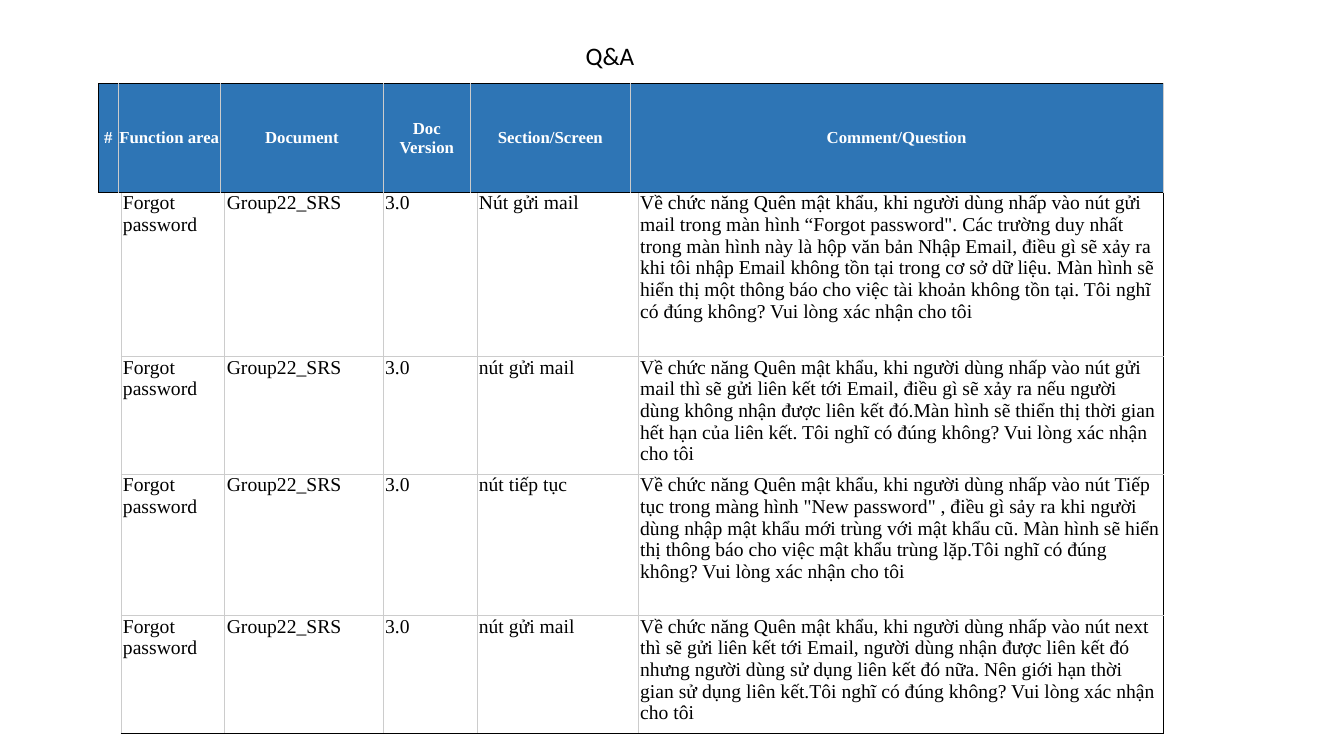
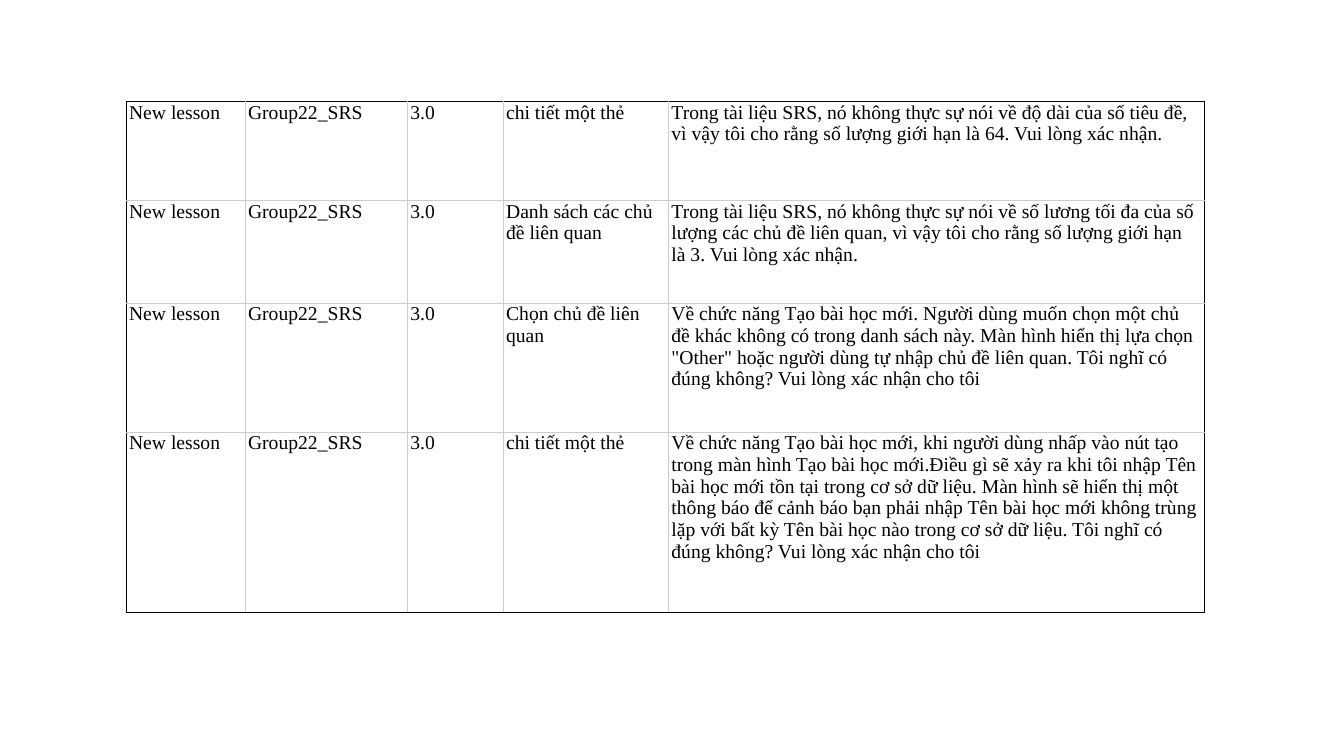
"""Build two slides of questions and answers about a requirements document."""
from dataclasses import dataclass

from lxml import etree
from pptx import Presentation
from pptx import util as u
from pptx.dml.color import RGBColor
from pptx.enum import text
from pptx.oxml import ns


@dataclass(frozen=True)
class Theme:
    ink: str = "000000"
    grid: str = "CCCCCC"
    header_fill: str = "2E75B5"
    header_ink: str = "FFFFFF"
    title_font: str = "Calibri"
    table_font: str = "Times New Roman"
    title_size: int = 18
    header_size: int = 12
    body_size: int = 14
    border_width: float = 0.6


THEME = Theme()
DOCUMENT, VERSION = "Group22_SRS", "3.0"
HEADERS = ["#", "Function area", "Document", "Doc Version", "Section/Screen", "Comment/Question"]

PASSWORD_QUESTIONS = [
    ("Nút gửi mail",
     "Về chức năng Quên mật khẩu, khi người dùng nhấp vào nút gửi mail trong màn hình "
     "“Forgot password\". Các trường duy nhất trong màn hình này là hộp văn bản Nhập Email, "
     "điều gì sẽ xảy ra khi tôi nhập Email không tồn tại trong cơ sở dữ liệu. Màn hình sẽ "
     "hiển thị một thông báo cho việc tài khoản không tồn tại. Tôi nghĩ có đúng không? "
     "Vui lòng xác nhận cho tôi"),
    ("nút gửi mail",
     "Về chức năng Quên mật khẩu, khi người dùng nhấp vào nút gửi mail thì sẽ gửi liên kết "
     "tới Email, điều gì sẽ xảy ra nếu người dùng không nhận được liên kết đó.Màn hình sẽ "
     "thiển thị thời gian hết hạn của liên kết. Tôi nghĩ có đúng không? Vui lòng xác nhận "
     "cho tôi"),
    ("nút tiếp tục",
     "Về chức năng Quên mật khẩu, khi người dùng nhấp vào nút Tiếp tục trong màng hình "
     "\"New password\" , điều gì sảy ra khi người dùng nhập mật khẩu mới trùng với mật khẩu "
     "cũ. Màn hình sẽ hiển thị thông báo cho việc mật khẩu trùng lặp.Tôi nghĩ có đúng "
     "không? Vui lòng xác nhận cho tôi"),
    ("nút gửi mail",
     "Về chức năng Quên mật khẩu, khi người dùng nhấp vào nút next thì sẽ gửi liên kết tới "
     "Email, người dùng nhận được liên kết đó nhưng người dùng sử dụng liên kết đó nữa. Nên "
     "giới hạn thời gian sử dụng liên kết.Tôi nghĩ có đúng không? Vui lòng xác nhận cho tôi"),
]

LESSON_QUESTIONS = [
    ("chi tiết một thẻ",
     "Trong tài liệu SRS, nó không thực sự nói về độ dài của số tiêu đề, vì vậy tôi cho "
     "rằng số lượng giới hạn là 64. Vui lòng xác nhận."),
    ("Danh sách các chủ đề liên quan",
     "Trong tài liệu SRS, nó không thực sự nói về số lương tối đa của số lượng các chủ đề "
     "liên quan, vì vậy tôi cho rằng số lượng giới hạn là 3. Vui lòng xác nhận."),
    ("Chọn chủ đề liên quan",
     "Về chức năng Tạo bài học mới. Người dùng muốn chọn một chủ đề khác không có trong "
     "danh sách này. Màn hình hiển thị lựa chọn \"Other\" hoặc người dùng tự nhập chủ đề "
     "liên quan. Tôi nghĩ có đúng không? Vui lòng xác nhận cho tôi"),
    ("chi tiết một thẻ",
     "Về chức năng Tạo bài học mới, khi người dùng nhấp vào nút tạo trong màn hình Tạo bài "
     "học mới.Điều gì sẽ xảy ra khi tôi nhập Tên bài học mới tồn tại trong cơ sở dữ liệu. "
     "Màn hình sẽ hiển thị một thông báo để cảnh báo bạn phải nhập Tên bài học mới không "
     "trùng lặp với bất kỳ Tên bài học nào trong cơ sở dữ liệu. Tôi nghĩ có đúng không? "
     "Vui lòng xác nhận cho tôi"),
]


def write_text(frame, content, *, font, size, color, bold=False, align=None):
    """Write one formatted paragraph into a text frame."""
    paragraph = frame.paragraphs[0]
    paragraph.alignment = align
    run = paragraph.add_run()
    run.text = content
    run.font.name = font
    run.font.size = u.Pt(size)
    run.font.bold = bold
    run.font.color.rgb = RGBColor.from_string(color)


def add_title(slide, content):
    """Add the title above a table."""
    box = slide.shapes.add_textbox(u.Inches(5.71), u.Inches(0.35), u.Inches(0.96), u.Inches(0.4))
    frame = box.text_frame
    frame.word_wrap = True
    frame.auto_size = text.MSO_AUTO_SIZE.SHAPE_TO_FIT_TEXT
    write_text(frame, content, font=THEME.title_font, size=THEME.title_size, color=THEME.ink)


def set_borders(cell, dark_sides):
    """Draw four cell borders, dark on the named sides and grey elsewhere."""
    properties = cell._tc.get_or_add_tcPr()
    for side in "LRTB":
        line = etree.SubElement(properties, ns.qn(f"a:ln{side}"), w=str(u.Pt(THEME.border_width)))
        fill = etree.SubElement(line, ns.qn("a:solidFill"))
        color = THEME.ink if side in dark_sides else THEME.grid
        etree.SubElement(fill, ns.qn("a:srgbClr"), val=color)


def add_grid(slide, left, top, widths, heights, rows, *, dark_edges, inset, fill=None,
             anchor=text.MSO_ANCHOR.TOP, **text_format):
    """Add a table whose named outer edges are dark."""
    frame = slide.shapes.add_table(len(rows), len(widths), u.Inches(left), u.Inches(top),
                                   u.Inches(sum(widths)), u.Inches(sum(heights)))
    table = frame.table
    table.first_row = table.horz_banding = False
    for column, width in zip(table.columns, widths):
        column.width = u.Inches(width)
    for row, height in zip(table.rows, heights):
        row.height = u.Inches(height)
    for r, values in enumerate(rows):
        for c, value in enumerate(values):
            cell = table.cell(r, c)
            on_edge = {"L": c == 0, "R": c == len(widths) - 1,
                       "T": r == 0, "B": r == len(rows) - 1}
            set_borders(cell, [side for side in dark_edges if on_edge[side]])
            if fill:
                cell.fill.solid()
                cell.fill.fore_color.rgb = RGBColor.from_string(fill)
            else:
                cell.fill.background()
            cell.margin_left = cell.margin_right = u.Inches(inset)
            cell.margin_top = cell.margin_bottom = 0
            cell.vertical_anchor = anchor
            write_text(cell.text_frame, value, font=THEME.table_font, **text_format)


def add_header(slide):
    """Add the blue row of column names."""
    add_grid(slide, 0.98, 0.83, [0.19, 1.02, 1.61, 0.87, 1.58, 5.29], [1.08], [HEADERS],
             dark_edges="LTB", inset=0.01, fill=THEME.header_fill,
             anchor=text.MSO_ANCHOR.MIDDLE, size=THEME.header_size,
             color=THEME.header_ink, bold=True, align=text.PP_ALIGN.CENTER)


def add_questions(slide, left, top, widths, heights, area, questions, *, dark_edges, inset):
    """Add the questions about one function area."""
    rows = [(area, DOCUMENT, VERSION, *question) for question in questions]
    add_grid(slide, left, top, widths, heights, rows, dark_edges=dark_edges, inset=inset,
             size=THEME.body_size, color=THEME.ink)


def main():
    """Build and save the presentation."""
    presentation = Presentation()
    presentation.slide_width = u.Inches(13.33)
    presentation.slide_height = u.Inches(7.5)
    blank = presentation.slide_layouts[6]

    slide = presentation.slides.add_slide(blank)
    add_title(slide, "Q&A")
    add_questions(slide, 1.2, 1.91, [1.03, 1.57, 0.93, 1.6, 5.21], [1.63, 1.16, 1.4, 1.16],
                  "Forgot password", PASSWORD_QUESTIONS, dark_edges="TRB", inset=0.02)
    add_header(slide)

    slide = presentation.slides.add_slide(blank)
    add_questions(slide, 1.25, 1.01, [1.18, 1.61, 0.95, 1.64, 5.32], [0.98, 1.02, 1.28, 1.79],
                  "New lesson", LESSON_QUESTIONS, dark_edges="LTRB", inset=0.03)

    presentation.save("out.pptx")


if __name__ == "__main__":
    main()
